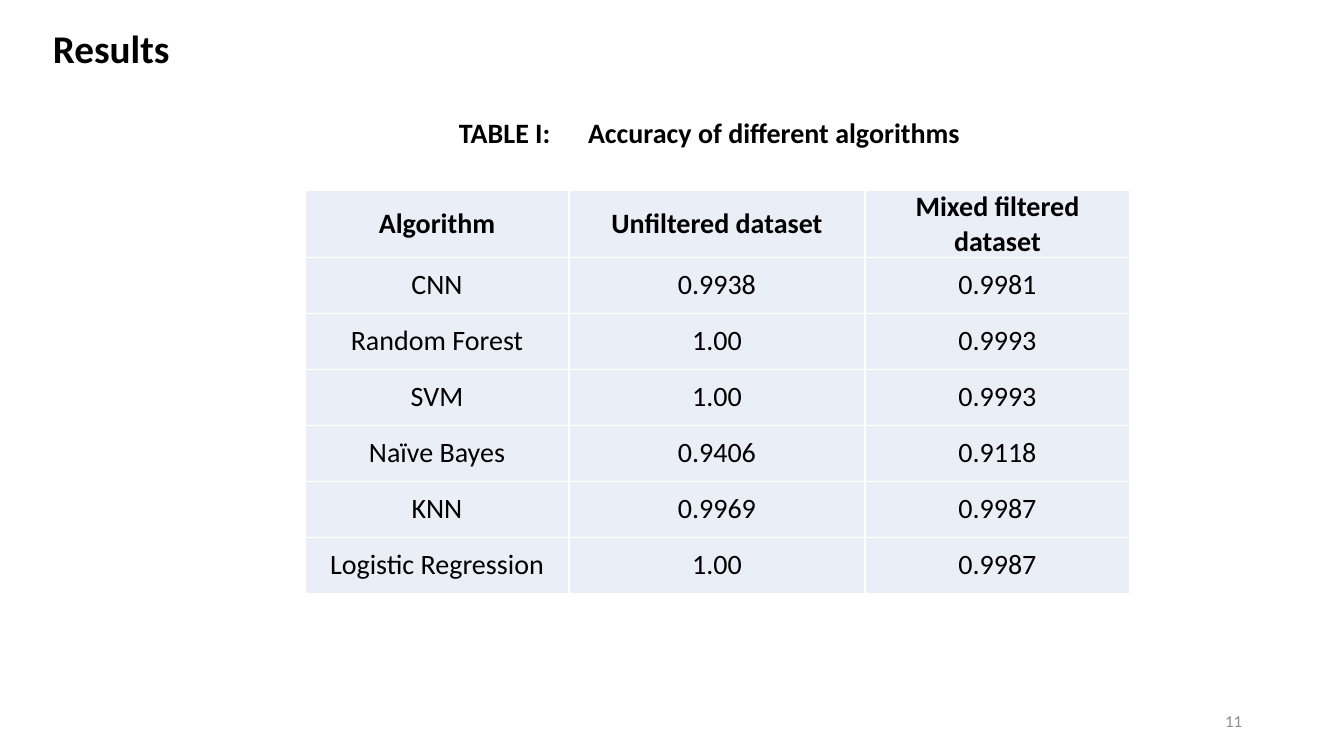
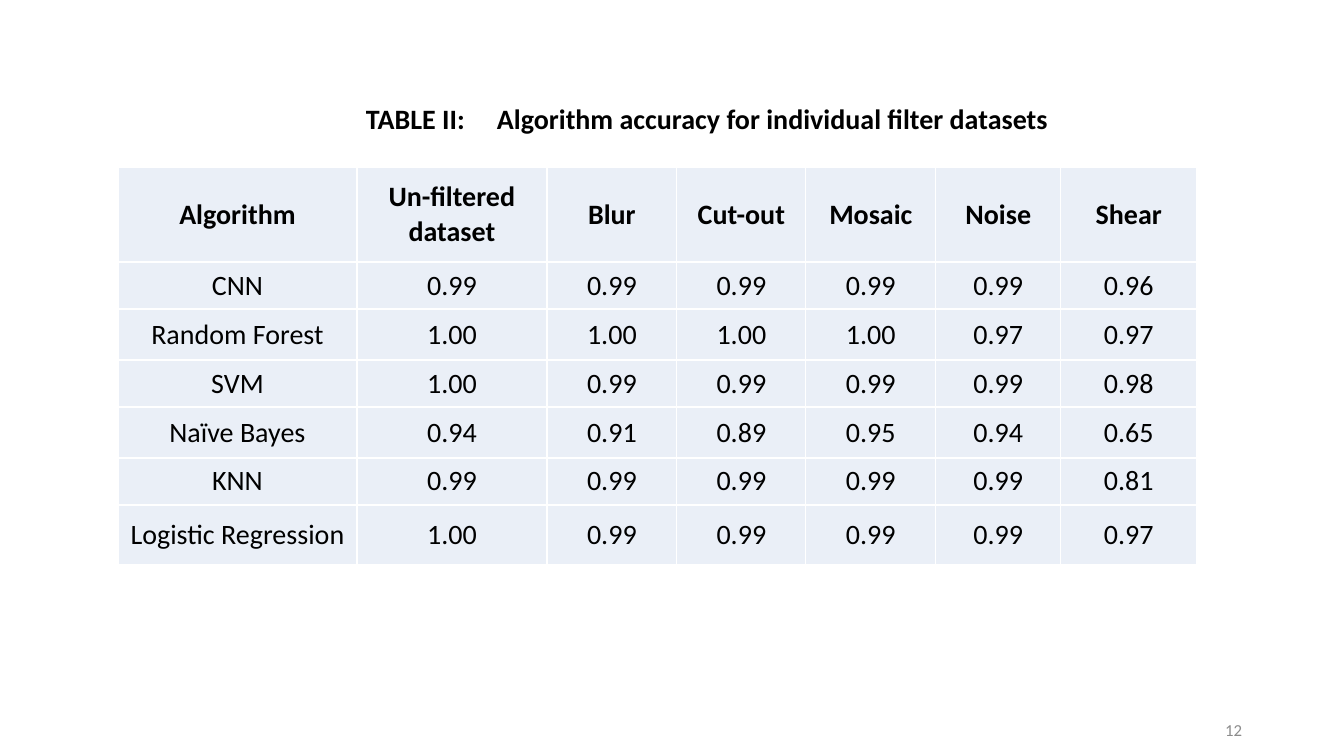
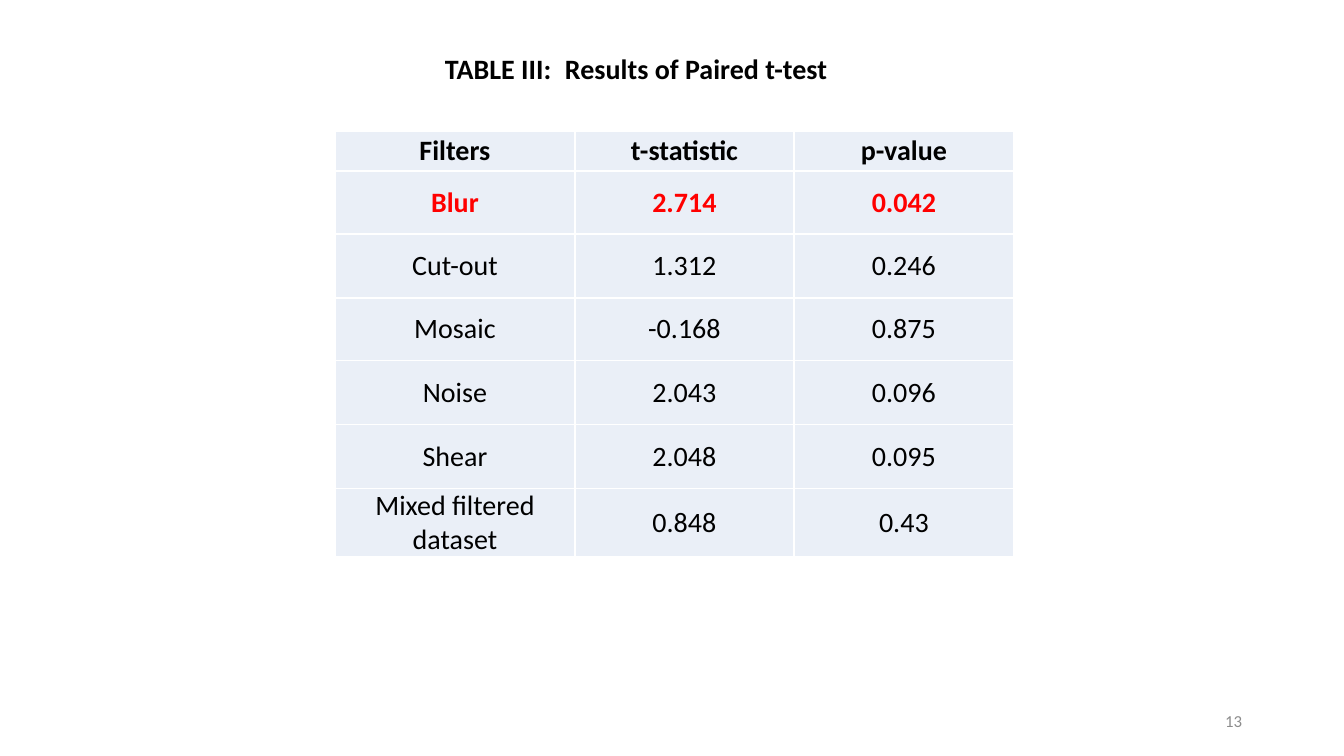
from dataclasses import dataclass

from lxml import etree
from pptx import Presentation
from pptx import util as u
from pptx.dml.color import RGBColor
from pptx.enum import text
from pptx.oxml import ns

SCALE = 914400 / 100.8


@dataclass(frozen=True)
class Theme:
    """Colours, font and type sizes of the deck."""
    font: str = "Calibri"
    ink: str = "000000"
    mark: str = "FF0000"
    mute: str = "8C8C8C"
    cell: str = "EAEFF7"
    rule: str = "FFFFFF"
    title: int = 28
    body: int = 20
    foot: int = 12


LOOK = Theme()
LEFT, MID, RIGHT = text.PP_ALIGN.LEFT, text.PP_ALIGN.CENTER, text.PP_ALIGN.RIGHT
TOP, CORE = text.MSO_ANCHOR.TOP, text.MSO_ANCHOR.MIDDLE


def px(num):
    """Turn pixels into EMU."""
    return u.Emu(round(num * SCALE))


def style(frame, size, color, bold, align):
    """Format every run of a text frame."""
    for para in frame.paragraphs:
        para.alignment = align
        for run in para.runs:
            font = run.font
            font.name, font.size, font.bold = LOOK.font, u.Pt(size), bold
            font.color.rgb = RGBColor.from_string(color)


def label(slide, box, words, size, color=LOOK.ink, bold=True, align=LEFT, anchor=TOP):
    """Place a text box and return its frame."""
    frame = slide.shapes.add_textbox(*map(px, box)).text_frame
    frame.word_wrap = True
    frame.vertical_anchor = anchor
    frame.text = words
    style(frame, size, color, bold, align)
    return frame


def caption(slide, box, inset, tab, number, words):
    """Place a table caption with its number and words on one tab stop."""
    frame = label(slide, box, f"TABLE {number}:\t{words}", LOOK.body)
    frame.margin_left = px(inset)
    props = frame.paragraphs[0]._p.get_or_add_pPr()
    stops = etree.SubElement(props, ns.qn("a:tabLst"))
    etree.SubElement(stops, ns.qn("a:tab"), pos=str(px(tab)), algn="l")


def border(cell):
    """Draw thin rules on all four sides of a cell."""
    props = cell._tc.get_or_add_tcPr()
    for side in ("lnL", "lnR", "lnT", "lnB"):
        line = etree.SubElement(props, ns.qn(f"a:{side}"), w=str(u.Pt(1)))
        fill = etree.SubElement(line, ns.qn("a:solidFill"))
        etree.SubElement(fill, ns.qn("a:srgbClr"), val=LOOK.rule)


def grid(slide, spot, cols, rows, data, hot=None):
    """Place a table with a bold head row and an optional marked row."""
    box = (*spot, sum(cols), sum(rows))
    table = slide.shapes.add_table(len(rows), len(cols), *map(px, box)).table
    table.first_row = table.horz_banding = False
    for col, width in zip(table.columns, cols):
        col.width = px(width)
    for row, height in zip(table.rows, rows):
        row.height = px(height)
    for i, line in enumerate(data):
        for j, words in enumerate(line):
            cell = table.cell(i, j)
            border(cell)
            cell.fill.solid()
            cell.fill.fore_color.rgb = RGBColor.from_string(LOOK.cell)
            cell.margin_left = cell.margin_right = px(7)
            cell.margin_top = cell.margin_bottom = 0
            cell.vertical_anchor = CORE
            cell.text_frame.text = words
            color = LOOK.mark if i == hot else LOOK.ink
            style(cell.text_frame, LOOK.body, color, i in (0, hot), MID)


def page(deck, number, box=(950, 701, 302, 40)):
    """Add a blank slide with its page number."""
    slide = deck.slides.add_slide(deck.slide_layouts[6])
    label(slide, box, str(number), LOOK.foot, LOOK.mute, False, RIGHT, CORE)
    return slide


def mixed(deck):
    """Build the slide on overall accuracy."""
    slide = page(deck, 11)
    label(slide, (43, 19, 452, 57), "Results", LOOK.title)
    grid(slide, (305, 190), (264, 296, 265), [67] + [56] * 6, [
        ("Algorithm", "Unfiltered dataset", "Mixed filtered dataset"),
        ("CNN", "0.9938", "0.9981"),
        ("Random Forest", "1.00", "0.9993"),
        ("SVM", "1.00", "0.9993"),
        ("Naïve Bayes", "0.9406", "0.9118"),
        ("KNN", "0.9969", "0.9987"),
        ("Logistic Regression", "1.00", "0.9987"),
    ])
    caption(slide, (319, 111, 782, 78), 140, 129, "I", "Accuracy of different algorithms")


def single(deck):
    """Build the slide on accuracy for each filter."""
    slide = page(deck, 12, (989, 718, 263, 23))
    cols = (239, 190, 130, 129, 130, 125, 136)
    rows = (95, 47, 51, 47, 51, 47, 60)
    grid(slide, (118, 167), cols, rows, [
        ("Algorithm", "Un-filtered\ndataset", "Blur", "Cut-out", "Mosaic", "Noise", "Shear"),
        ("CNN", "0.99", "0.99", "0.99", "0.99", "0.99", "0.96"),
        ("Random Forest", "1.00", "1.00", "1.00", "1.00", "0.97", "0.97"),
        ("SVM", "1.00", "0.99", "0.99", "0.99", "0.99", "0.98"),
        ("Naïve Bayes", "0.94", "0.91", "0.89", "0.95", "0.94", "0.65"),
        ("KNN", "0.99", "0.99", "0.99", "0.99", "0.99", "0.81"),
        ("Logistic Regression", "1.00", "0.99", "0.99", "0.99", "0.99", "0.97"),
    ])
    caption(slide, (240, 97, 933, 44), 126, 131, "II",
            "Algorithm accuracy for individual filter datasets")


def paired(deck):
    """Build the slide on the paired test."""
    slide = page(deck, 13)
    rows = (40, 63, 64, 63, 64, 64, 68)
    grid(slide, (335, 131), (240, 219, 220), rows, [
        ("Filters", "t-statistic", "p-value"),
        ("Blur", "2.714", "0.042"),
        ("Cut-out", "1.312", "0.246"),
        ("Mosaic", "-0.168", "0.875"),
        ("Noise", "2.043", "0.096"),
        ("Shear", "2.048", "0.095"),
        ("Mixed filtered dataset", "0.848", "0.43"),
    ], hot=1)
    caption(slide, (278, 47, 717, 44), 167, 120, "III", "Results of Paired t-test")


def main():
    """Build and save the deck."""
    deck = Presentation()
    deck.slide_width, deck.slide_height = px(1344), px(756)
    for build in (mixed, single, paired):
        build(deck)
    deck.save("out.pptx")


if __name__ == "__main__":
    main()
